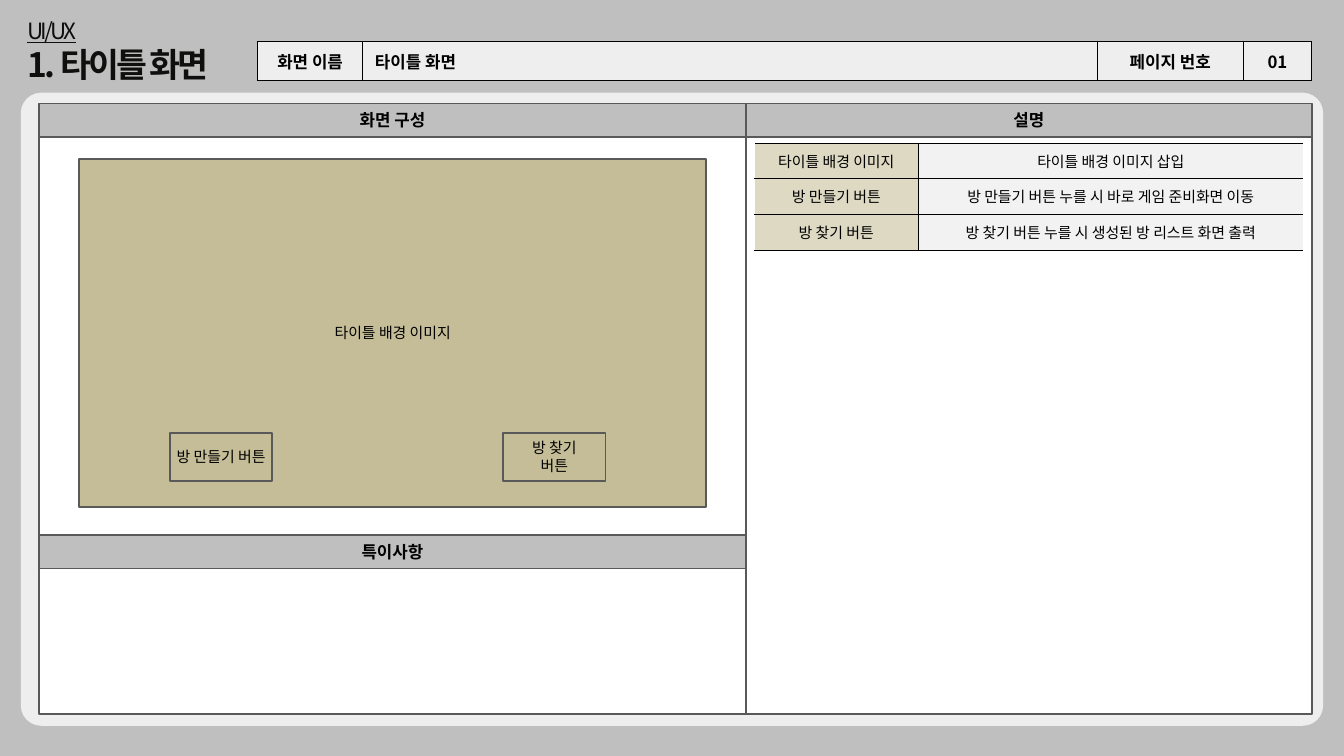
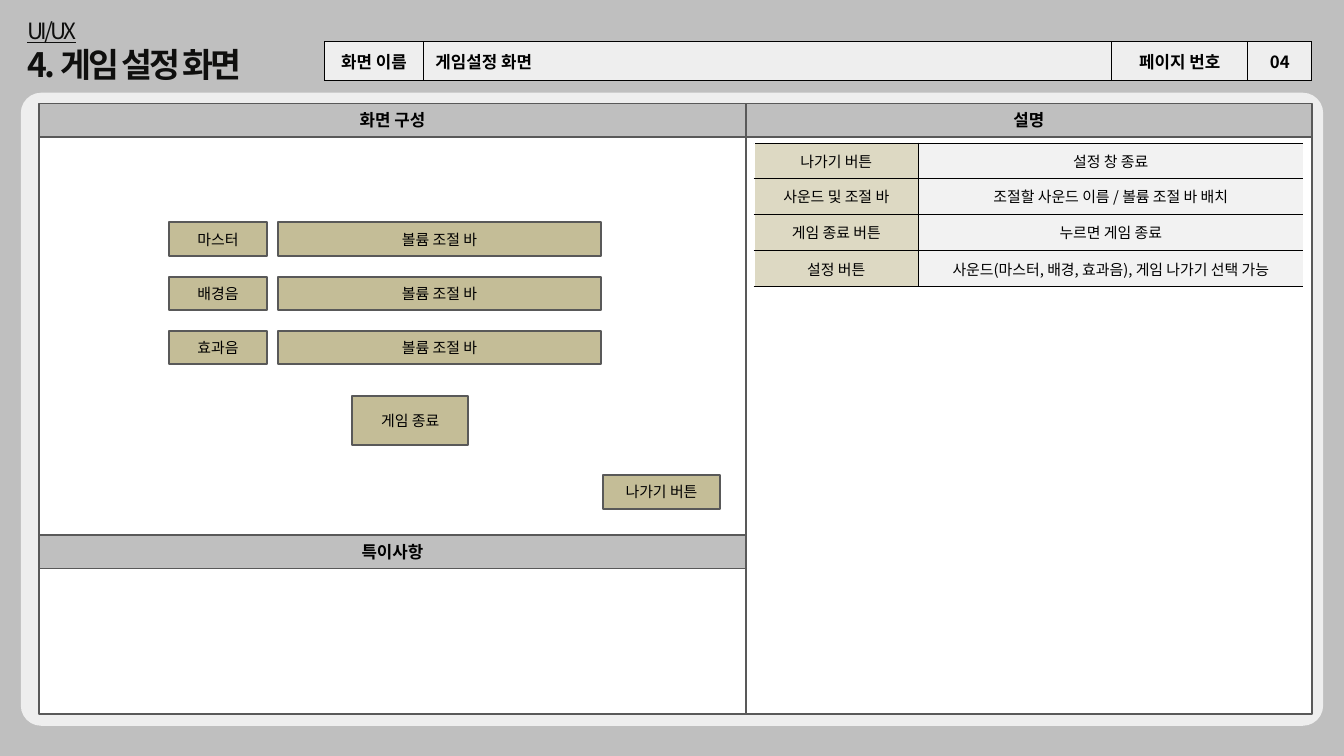
from lxml import etree
from pptx import Presentation
from pptx.dml.color import RGBColor
from pptx.enum.shapes import MSO_SHAPE
from pptx.enum.text import MSO_ANCHOR, MSO_AUTO_SIZE, PP_ALIGN
from pptx.oxml.ns import qn
from pptx.util import Inches, Pt

RECTANGLE, ROUNDED = MSO_SHAPE.RECTANGLE, MSO_SHAPE.ROUNDED_RECTANGLE
MIDDLE = MSO_ANCHOR.MIDDLE
LEFT, CENTER = PP_ALIGN.LEFT, PP_ALIGN.CENTER
GROW = MSO_AUTO_SIZE.SHAPE_TO_FIT_TEXT

FONT = "Noto Sans CJK KR"
GRAY, PANEL, BORDER = "BFBFBF", "EEEEEE", "595959"
KHAKI, LABEL, NOTE = "C4BD97", "DDD9C3", "F2F2F2"
BLACK, WHITE, INK = "000000", "FFFFFF", "0F0F0E"

LEFT_X, RIGHT_X, RIGHT_END = 0.58, 11.1, 19.52
TOP, BAND, NOTES_TOP, BOTTOM = 1.54, 0.5, 7.96, 10.63
SECTIONS = [
    ("화면 구성", LEFT_X, TOP, RIGHT_X, NOTES_TOP),
    ("특이사항", LEFT_X, NOTES_TOP, RIGHT_X, BOTTOM),
    ("설명", RIGHT_X, TOP, RIGHT_END, BOTTOM),
]

SLIDER_ROWS = [("마스터", 3.31), ("배경음", 4.12), ("효과음", 4.92)]

SCREENS = [
    {
        "title": "1. 타이틀 화면",
        "name": "타이틀 화면",
        "number": "01",
        "header_columns": [1.57, 10.93, 2.17, 1.02],
        "descriptions": [
            ("타이틀 배경 이미지", "타이틀 배경 이미지 삽입"),
            ("방 만들기 버튼", "방 만들기 버튼 누를 시 바로 게임 준비화면 이동"),
            ("방 찾기 버튼", "방 찾기 버튼 누를 시 생성된 방 리스트 화면 출력"),
        ],
        "parts": [
            ("타이틀 배경 이미지", 1.18, 2.36, 9.33, 5.19),
            ("방 만들기 버튼", 2.53, 6.44, 1.52, 0.72),
            ("방 찾기\n버튼", 7.49, 6.44, 1.52, 0.72),
        ],
    },
    {
        "title": "4. 게임 설정 화면",
        "name": "게임설정 화면",
        "number": "04",
        "header_columns": [1.47, 10.24, 2.03, 0.95],
        "descriptions": [
            ("나가기 버튼", "설정 창 종료"),
            ("사운드 및 조절 바", "조절할 사운드 이름 / 볼륨 조절 바 배치"),
            ("게임 종료 버튼", "누르면 게임 종료"),
            ("설정 버튼", "사운드(마스터, 배경, 효과음), 게임 나가기 선택 가능"),
        ],
        "parts": [(label, 2.51, y, 1.47, 0.5) for label, y in SLIDER_ROWS]
        + [("볼륨 조절 바", 4.14, y, 4.8, 0.5) for label, y in SLIDER_ROWS]
        + [
            ("게임 종료", 5.24, 5.89, 1.73, 0.73),
            ("나가기 버튼", 8.98, 7.07, 1.73, 0.5),
        ],
    },
]


def color(value):
    return RGBColor.from_string(value)


def paint(target, value):
    target.fill.solid()
    target.fill.fore_color.rgb = color(value)


def style(para, size, bold=False, ink=BLACK, align=CENTER):
    para.alignment = align
    for span in para.runs:
        span.font.size = Pt(size)
        span.font.bold = bold
        span.font.color.rgb = color(ink)
        span.font.name = FONT
        properties = span.font._element
        etree.SubElement(properties, qn("a:ea"), typeface=FONT)


def add_box(page, area, fill, text="", size=16, bold=False, line=BORDER, kind=RECTANGLE, inset=None):
    box = page.shapes.add_shape(kind, *map(Inches, area))
    box.shadow.inherit = False
    paint(box, fill)
    if line:
        box.line.color.rgb = color(line)
        box.line.width = Pt(2)
    else:
        box.line.fill.background()
    if text:
        frame = box.text_frame
        frame.text = text
        frame.word_wrap = True
        frame.vertical_anchor = MIDDLE
        if inset is not None:
            frame.margin_left = frame.margin_right = Inches(inset)
            frame.margin_top = frame.margin_bottom = Inches(inset)
        for para in frame.paragraphs:
            style(para, size, bold)
    return box


def add_border(cell, side, value):
    line = etree.SubElement(cell._tc.get_or_add_tcPr(), qn("a:ln" + side), w=str(Pt(1)))
    solid = etree.SubElement(line, qn("a:solidFill"))
    etree.SubElement(solid, qn("a:srgbClr"), val=value)


def add_grid(page, x, y, widths, heights, rows, fills, size, bold=False, open_sides=False):
    frame = page.shapes.add_table(
        len(rows), len(widths), Inches(x), Inches(y), Inches(sum(widths)), Inches(sum(heights))
    )
    grid = frame.table
    grid.first_row = grid.horz_banding = False
    for column, width in zip(grid.columns, widths):
        column.width = Inches(width)
    last = len(widths) - 1
    for row_index, texts in enumerate(rows):
        grid.rows[row_index].height = Inches(heights[row_index])
        for index, text in enumerate(texts):
            cell = grid.cell(row_index, index)
            cell.text = text
            cell.vertical_anchor = MIDDLE
            style(cell.text_frame.paragraphs[0], size, bold)
            outer = {"L": index == 0, "R": index == last}
            for side in "LRTB":
                hidden = open_sides and outer.get(side, False)
                add_border(cell, side, WHITE if hidden else BLACK)
            paint(cell, fills[index])
    return grid


def add_title(page, title):
    box = page.shapes.add_textbox(Inches(0.31), Inches(0.2), Inches(6.27), Inches(1.11))
    frame = box.text_frame
    frame.text = "UI/UX\n" + title
    frame.word_wrap = True
    frame.auto_size = GROW
    frame.vertical_anchor = MIDDLE
    section, heading = frame.paragraphs
    style(section, 24, ink=INK, align=LEFT)
    style(heading, 36, True, INK, LEFT)
    section.runs[0].font.underline = True
    for para in frame.paragraphs:
        para.runs[0].font._element.set("spc", "-300")


def add_header(page, screen):
    widths = screen["header_columns"]
    texts = ["화면 이름", screen["name"], "페이지 번호", screen["number"]]
    grid = add_grid(page, RIGHT_END - sum(widths), 0.62, widths, [0.58], [texts], [PANEL] * 4, 18, True)
    name = grid.cell(0, 1).text_frame.paragraphs[0]
    name.alignment = LEFT
    properties = name._p.get_or_add_pPr()
    properties.set("marL", str(Inches(0.08)))
    properties.set("indent", "0")


def add_frame(page):
    panel = add_box(page, (0.31, 1.38, 19.38, 9.42), PANEL, line=None, kind=ROUNDED)
    panel.adjustments[0] = 0.032
    for label, x, y, right, bottom in SECTIONS:
        add_box(page, (x, y + BAND, right - x, bottom - y - BAND), WHITE)
        add_box(page, (x, y, right - x, BAND), GRAY, label, 18, True)


def add_screen(deck, screen):
    page = deck.slides.add_slide(deck.slide_layouts[6])
    paint(page.background, GRAY)
    add_title(page, screen["title"])
    add_frame(page)
    add_header(page, screen)
    rows = screen["descriptions"]
    heights = [0.52] + [0.54] * (len(rows) - 1)
    add_grid(page, 11.22, 2.13, [2.45, 5.72], heights, rows, [LABEL, NOTE], 16, open_sides=True)
    for label, *area in screen["parts"]:
        add_box(page, area, KHAKI, label, inset=0.1)


def main():
    deck = Presentation()
    deck.slide_width, deck.slide_height = Inches(20), Inches(11.25)
    for screen in SCREENS:
        add_screen(deck, screen)
    deck.save("out.pptx")


if __name__ == "__main__":
    main()
